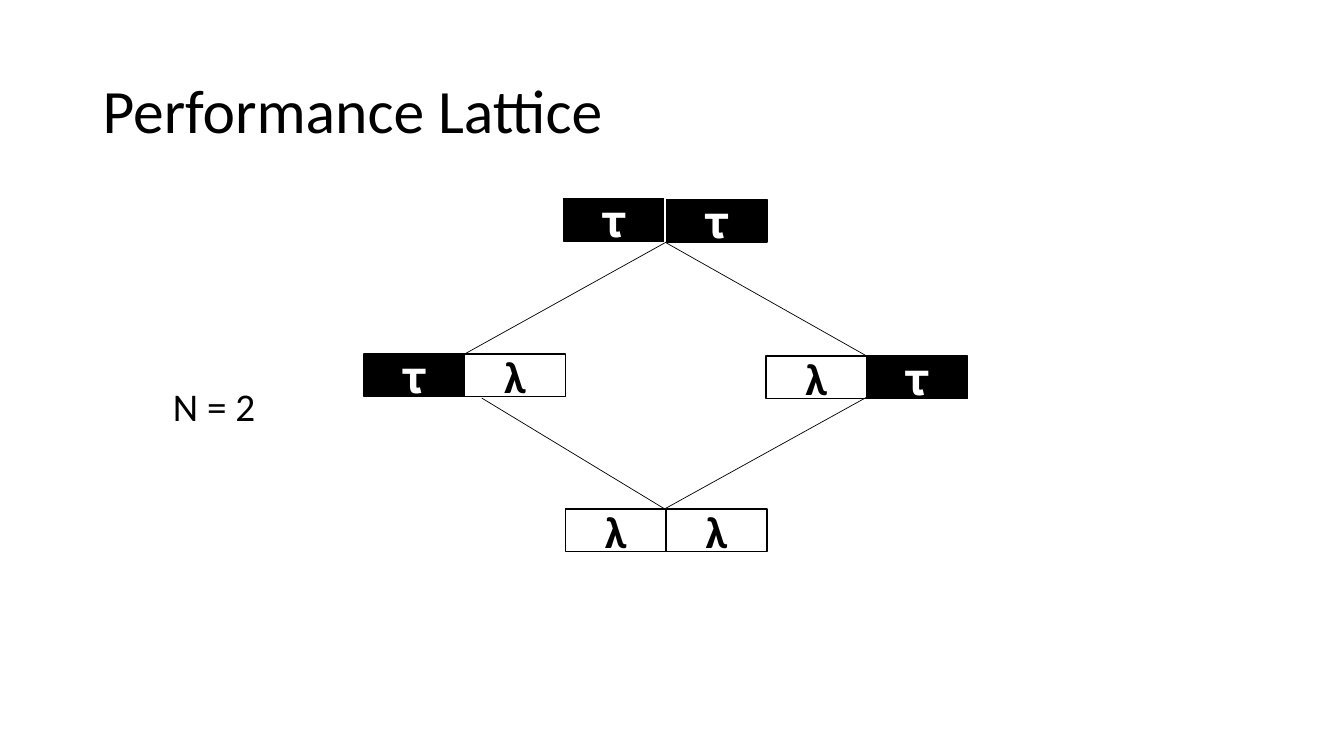
from lxml import etree
from pptx import Presentation
from pptx.dml.color import RGBColor
from pptx.enum.shapes import MSO_CONNECTOR, MSO_SHAPE
from pptx.enum.text import MSO_ANCHOR, PP_ALIGN
from pptx.oxml.ns import qn
from pptx.util import Cm, Pt

RECTANGLE = MSO_SHAPE.RECTANGLE
STRAIGHT = MSO_CONNECTOR.STRAIGHT
MIDDLE = MSO_ANCHOR.MIDDLE
LEFT, CENTER = PP_ALIGN.LEFT, PP_ALIGN.CENTER

COLOURS = {"black": "000000", "white": "FFFFFF"}
CELL_WIDTH, CELL_HEIGHT = 2.54, 1.07

# Symbol: (fill, text colour, bold)
CELL_STYLES = {
    "𝛕": ("black", "white", False),
    "λ": ("white", "black", True),
}

# Lattice nodes: symbol, left and top of each cell, in cm
NODES = [
    [("𝛕", 14.2, 5.0), ("𝛕", 16.79, 5.03)],
    [("𝛕", 9.17, 8.92), ("λ", 11.71, 8.92)],
    [("λ", 19.3, 8.97), ("𝛕", 21.84, 8.97)],
    [("λ", 14.25, 12.83), ("λ", 16.79, 12.83)],
]

# Lattice edges: start and end points, in cm
EDGES = [
    ((16.79, 6.1), (11.71, 8.92)),
    ((16.79, 6.12), (21.84, 8.97)),
    ((12.14, 10.03), (16.76, 12.83)),
    ((21.84, 10.01), (16.74, 12.83)),
]


def colour(name):
    return RGBColor.from_string(COLOURS[name])


def write_text(frame, text, size, colour_name="black", bold=False, align=LEFT):
    paragraph = frame.paragraphs[0]
    paragraph.alignment = align
    run = paragraph.add_run()
    run.text = text
    font_format = {"name": "Calibri", "size": Pt(size), "bold": bold}
    for attribute, value in font_format.items():
        setattr(run.font, attribute, value)
    run.font.color.rgb = colour(colour_name)
    return paragraph


def set_title(slide, text):
    title = slide.shapes.title
    place = {"left": Cm(2.33), "top": Cm(1.02), "width": Cm(29.21), "height": Cm(3.68)}
    for attribute, value in place.items():
        setattr(title, attribute, value)
    title.text_frame.vertical_anchor = MIDDLE
    write_text(title.text_frame, text, 44).line_spacing = 0.9


def add_label(slide, text, left, top, width, height):
    label = slide.shapes.add_textbox(Cm(left), Cm(top), Cm(width), Cm(height))
    label.text_frame.word_wrap = True
    write_text(label.text_frame, text, 28)


def add_cell(slide, symbol, left, top):
    fill, text_colour, bold = CELL_STYLES[symbol]
    cell = slide.shapes.add_shape(
        RECTANGLE, Cm(left), Cm(top), Cm(CELL_WIDTH), Cm(CELL_HEIGHT))
    cell.shadow.inherit = False
    cell.fill.solid()
    cell.fill.fore_color.rgb = colour(fill)
    cell.line.color.rgb = colour("black")
    cell.line.width = Pt(1)
    cell.text_frame.vertical_anchor = MIDDLE
    write_text(cell.text_frame, symbol, 32, text_colour, bold, CENTER)


def add_line(slide, start, end, colour_name="black"):
    points = [Cm(length) for length in start + end]
    line = slide.shapes.add_connector(STRAIGHT, *points)
    line.line.color.rgb = colour(colour_name)
    line.line.width = Pt(0.5)
    etree.SubElement(line._element.spPr, qn("a:effectLst"))


def main():
    prs = Presentation()
    prs.slide_width, prs.slide_height = Cm(33.87), Cm(19.05)
    slide = prs.slides.add_slide(prs.slide_layouts[5])

    # Heading and lattice size
    set_title(slide, "Performance Lattice")
    add_label(slide, "N = 2", 4.11, 9.5, 4.11, 1.45)

    # Nodes, with a white divider between the two black cells on top
    for node in NODES:
        for symbol, left, top in node:
            add_cell(slide, symbol, left, top)
    add_line(slide, (16.74, 5.0), (16.74, 6.1), "white")

    # Edges
    for start, end in EDGES:
        add_line(slide, start, end)

    prs.save("out.pptx")


if __name__ == "__main__":
    main()
